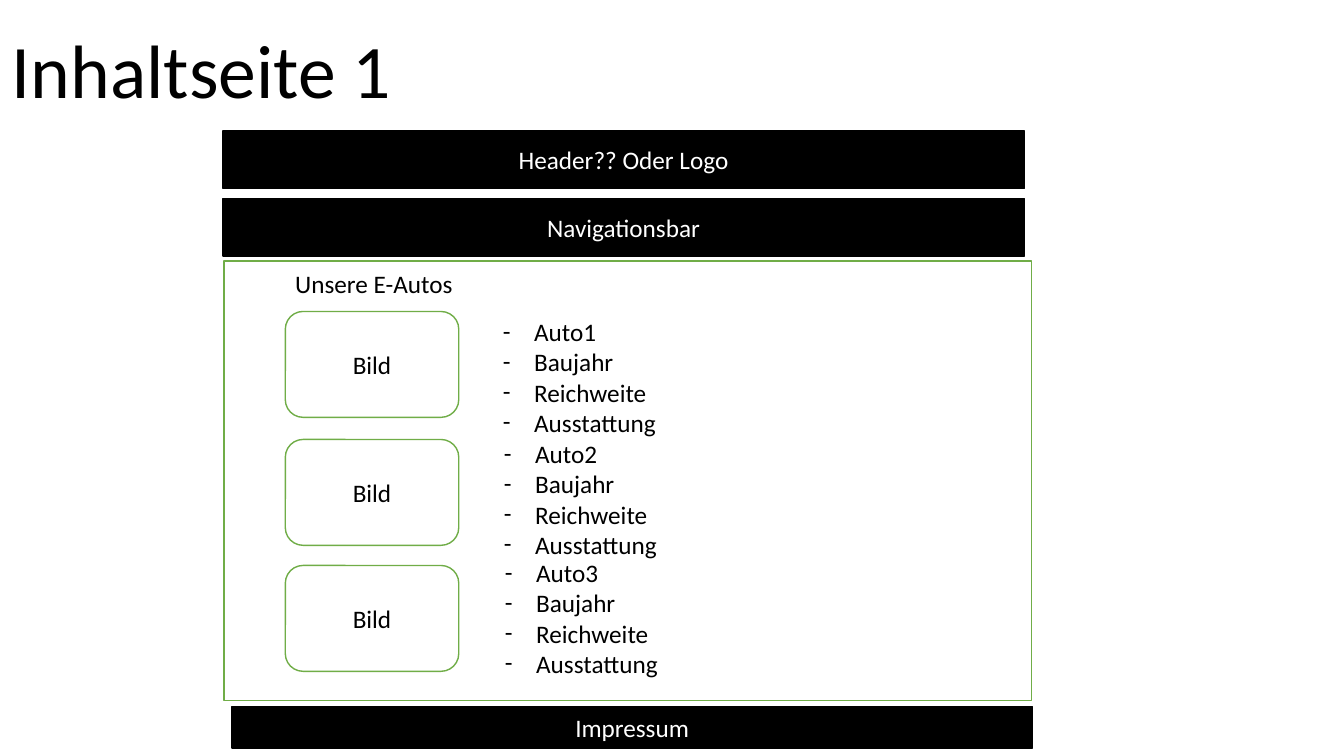
from lxml import etree
from pptx import Presentation
from pptx.dml.color import RGBColor
from pptx.enum.shapes import MSO_SHAPE
from pptx.enum.text import MSO_ANCHOR, MSO_AUTO_SIZE, PP_ALIGN
from pptx.oxml.ns import qn
from pptx.util import Inches, Pt

RECTANGLE = MSO_SHAPE.RECTANGLE
ROUNDED = MSO_SHAPE.ROUNDED_RECTANGLE
LEFT, CENTER = PP_ALIGN.LEFT, PP_ALIGN.CENTER
TOP, MIDDLE = MSO_ANCHOR.TOP, MSO_ANCHOR.MIDDLE
GROW = MSO_AUTO_SIZE.SHAPE_TO_FIT_TEXT

COLORS = {"black": "000000", "white": "FFFFFF", "green": "70AD47"}
FONT = "Calibri"
BULLET_INDENT = 0.31
CAR_DETAILS = ["Baujahr", "Reichweite", "Ausstattung"]


def color(name):
    return RGBColor.from_string(COLORS[name])


def place(item, left, top, width, height):
    item.left, item.top = Inches(left), Inches(top)
    item.width, item.height = Inches(width), Inches(height)


def add_dash(para):
    properties = para._p.get_or_add_pPr()
    properties.set("marL", str(Inches(BULLET_INDENT)))
    properties.set("indent", str(-Inches(BULLET_INDENT)))
    etree.SubElement(properties, qn("a:buFont"), typeface=FONT)
    etree.SubElement(properties, qn("a:buChar"), char="-")


def write_text(frame, lines, size=18, ink="black", align=LEFT, anchor=TOP,
               wrap=True, dashes=False):
    frame.word_wrap = wrap
    frame.vertical_anchor = anchor
    for index, line in enumerate(lines):
        para = frame.paragraphs[0] if index == 0 else frame.add_paragraph()
        para.alignment = align
        if dashes:
            add_dash(para)
        span = para.add_run()
        span.text = line
        span.font.name = FONT
        span.font.size = Pt(size)
        span.font.color.rgb = color(ink)


def add_title(slide, text, left, top, width, height):
    title = slide.shapes.title
    place(title, left, top, width, height)
    write_text(title.text_frame, [text], size=54, align=CENTER, wrap=False)
    title.text_frame.auto_size = GROW


def add_panel(slide, kind, left, top, width, height, fill, line, text=None, ink="black"):
    panel = slide.shapes.add_shape(
        kind, Inches(left), Inches(top), Inches(width), Inches(height))
    panel.shadow.inherit = False
    panel.fill.solid()
    panel.fill.fore_color.rgb = color(fill)
    panel.line.color.rgb = color(line)
    panel.line.width = Pt(1)
    if text:
        write_text(panel.text_frame, [text], ink=ink, align=CENTER, anchor=MIDDLE)


def add_bar(slide, text, left, top, width, height):
    add_panel(slide, RECTANGLE, left, top, width, height, "black", "black", text, "white")


def add_text(slide, lines, left, top, width, height, **text_format):
    box = slide.shapes.add_textbox(
        Inches(left), Inches(top), Inches(width), Inches(height))
    write_text(box.text_frame, lines, **text_format)
    box.text_frame.auto_size = GROW


def main():
    deck = Presentation()
    deck.slide_width, deck.slide_height = Inches(13.33), Inches(7.5)
    slide = deck.slides.add_slide(deck.slide_layouts[5])

    add_title(slide, "Inhaltseite 1", 0, 0.18, 4, 1.01)
    add_panel(slide, RECTANGLE, 2.22, 2.59, 8.01, 4.36, "white", "green")
    add_bar(slide, "Navigationsbar", 2.21, 1.97, 7.95, 0.57)
    add_bar(slide, "Header?? Oder Logo", 2.21, 1.3, 7.95, 0.57)

    for top in (3.09, 4.36, 5.61):
        add_panel(slide, ROUNDED, 2.83, top, 1.72, 1.05, "white", "green", "Bild")

    add_text(slide, ["Unsere E-Autos"], 2.83, 2.61, 2.07, 0.71)
    for number, top in enumerate((3.09, 4.3, 5.48), start=1):
        add_text(slide, [f"Auto{number}", *CAR_DETAILS],
                 4.88 + 0.01 * number, top, 2.24, 1.31, dashes=True)

    add_bar(slide, "Impressum", 2.3, 7.01, 7.94, 0.41)
    deck.save("out.pptx")


if __name__ == "__main__":
    main()
